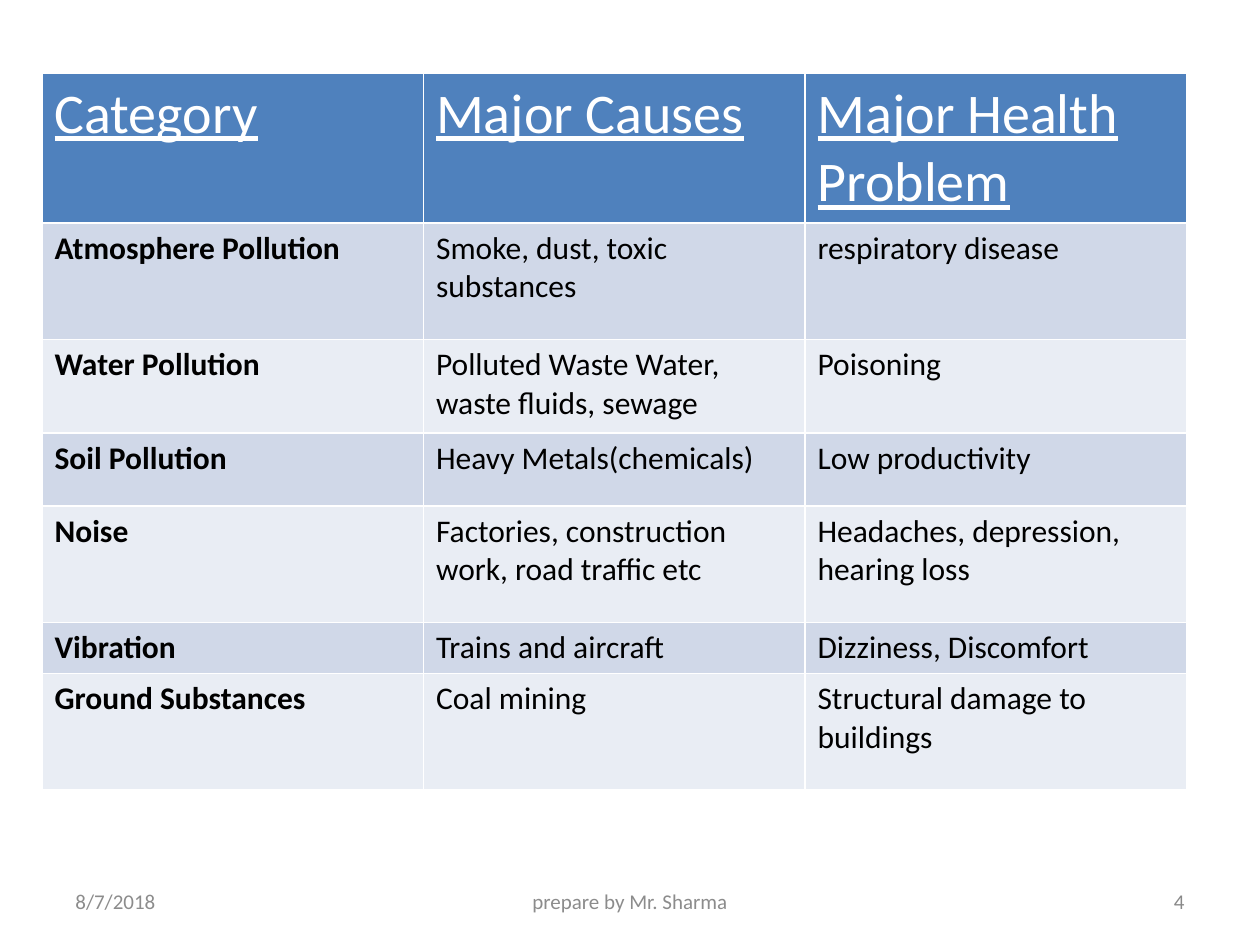
import pptx
import pptx.util
import pptx.dml.color
import pptx.enum.text

Pt = pptx.util.Pt
ALIGN = pptx.enum.text.PP_ALIGN
ANCHOR = pptx.enum.text.MSO_ANCHOR


def paint(code):
    return pptx.dml.color.RGBColor.from_string(code)


class Deck:
    font = "Calibri"
    head = "4F81BD"
    bands = ("D0D8E8", "E9EDF4")

    def __init__(self, wide, high):
        self.file = pptx.Presentation()
        self.file.slide_width = Pt(wide)
        self.file.slide_height = Pt(high)
        self.slide = self.file.slides.add_slide(self.file.slide_layouts[6])

    def words(self, frame, text, size, color, bold=False, line=False,
              align=ALIGN.LEFT):
        para = frame.paragraphs[0]
        para.alignment = align
        run = para.add_run()
        run.text = text
        run.font.name = self.font
        run.font.size = Pt(size)
        run.font.bold = bold
        run.font.underline = line
        run.font.color.rgb = paint(color)

    def label(self, left, top, width, height, text, color, align):
        box = self.slide.shapes.add_textbox(
            Pt(left), Pt(top), Pt(width), Pt(height))
        box.text_frame.word_wrap = True
        box.text_frame.vertical_anchor = ANCHOR.MIDDLE
        self.words(box.text_frame, text, 12, color, align=align)

    def table(self, left, top, width, heights, rows):
        count = len(rows[0])
        # The default table style supplies the white cell borders
        grid = self.slide.shapes.add_table(
            len(rows), count, Pt(left), Pt(top), Pt(width),
            Pt(sum(heights))).table
        for col in grid.columns:
            col.width = Pt(width / count)
        for r, (high, texts) in enumerate(zip(heights, rows)):
            grid.rows[r].height = Pt(high)
            for c, text in enumerate(texts):
                cell = grid.cell(r, c)
                cell.fill.solid()
                if r == 0:
                    cell.fill.fore_color.rgb = paint(self.head)
                    self.words(cell.text_frame, text, 32, "FFFFFF", line=True)
                else:
                    cell.fill.fore_color.rgb = paint(self.bands[(r - 1) % 2])
                    self.words(cell.text_frame, text, 18, "000000",
                               bold=c == 0)


def main():
    deck = Deck(720, 540)

    # Pollution table
    rows = [
        ("Category", "Major Causes", "Major Health Problem"),
        ("Atmosphere Pollution", "Smoke, dust, toxic substances",
         "respiratory disease"),
        ("Water Pollution", "Polluted Waste Water, waste fluids, sewage",
         "Poisoning"),
        ("Soil Pollution", "Heavy Metals(chemicals)", "Low productivity"),
        ("Noise", "Factories, construction work, road traffic etc",
         "Headaches, depression, hearing loss"),
        ("Vibration", "Trains and aircraft", "Dizziness, Discomfort"),
        ("Ground Substances", "Coal mining", "Structural damage to buildings"),
    ]
    heights = (84.8, 66.5, 53.5, 41.8, 66.5, 29.2, 66.5)
    deck.table(24, 42, 654, heights, rows)

    # Footer: date, author, page number
    top, high = 500.5, 28.75
    deck.label(36, top, 168, high, "8/7/2018", "8C8C8C", ALIGN.LEFT)
    deck.label(246, top, 228, high, "prepare by Mr. Sharma", "8C8C8C",
               ALIGN.CENTER)
    deck.label(516, top, 168, high, "4", "898989", ALIGN.RIGHT)

    deck.file.save("out.pptx")


if __name__ == "__main__":
    main()
